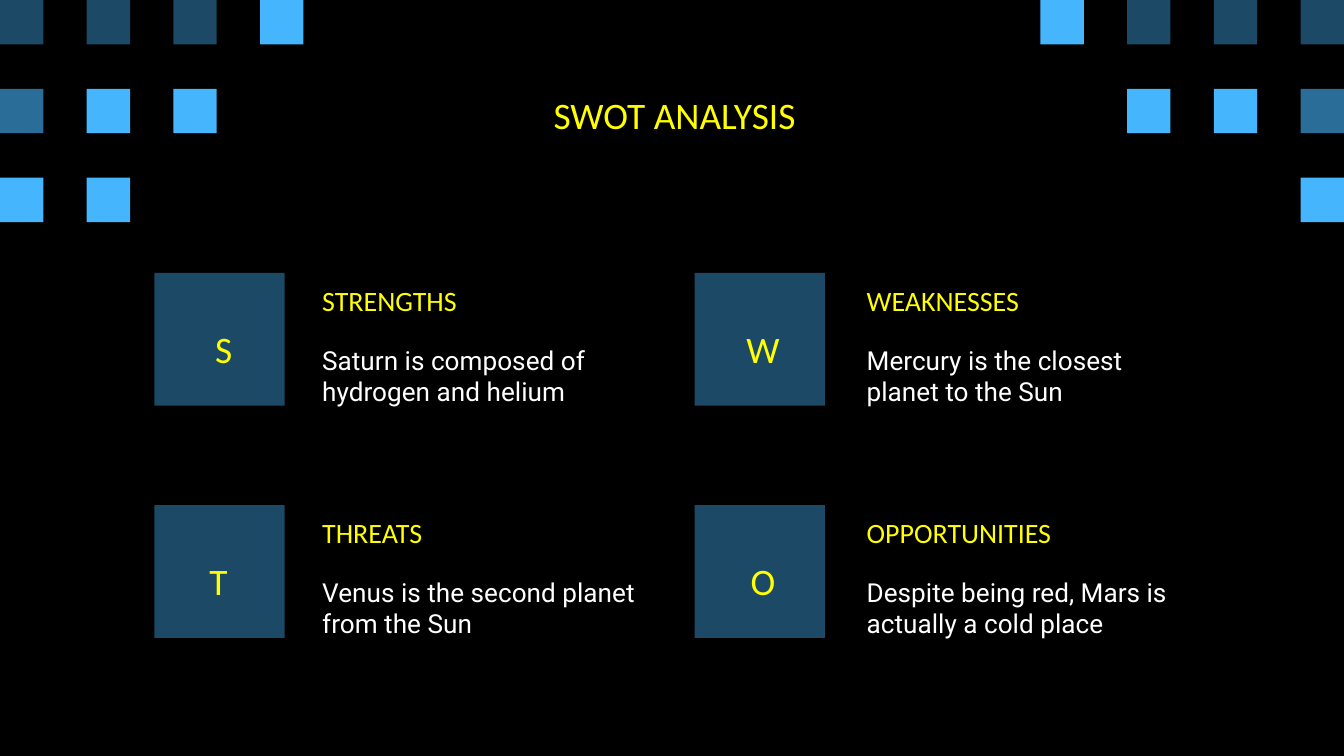
"""Build a SWOT analysis slide with a corner pattern of squares."""
from pptx import Presentation
from pptx.dml.color import RGBColor
from pptx.enum.shapes import MSO_SHAPE
from pptx.enum.text import MSO_ANCHOR, MSO_AUTO_SIZE, PP_ALIGN
from pptx.util import Cm, Pt

RECTANGLE = MSO_SHAPE.RECTANGLE
TOP, MIDDLE = MSO_ANCHOR.TOP, MSO_ANCHOR.MIDDLE
LEFT, CENTER = PP_ALIGN.LEFT, PP_ALIGN.CENTER
NO_AUTOFIT = MSO_AUTO_SIZE.NONE

DARK, MEDIUM, LIGHT = "1C4966", "296D98", "45B6FE"
YELLOW, WHITE, BLACK = "FFFF00", "FFFFFF", "000000"
SLIDE_WIDTH, SLIDE_HEIGHT = 25.4, 14.29


def add_square(left, top, width, height, color):
    shape = slide.shapes.add_shape(RECTANGLE, Cm(left), Cm(top), Cm(width), Cm(height))
    shape.shadow.inherit = False
    shape.fill.solid()
    shape.fill.fore_color.rgb = RGBColor.from_string(color)
    shape.line.fill.background()


def write_text(shape, text, size, font_name, color, alignment, anchor, side_insets):
    frame = shape.text_frame
    frame.word_wrap = True
    frame.auto_size = NO_AUTOFIT
    frame.vertical_anchor = anchor
    frame.margin_left, frame.margin_right = (Cm(inset) for inset in side_insets)
    frame.margin_top = frame.margin_bottom = Cm(0.25)
    paragraph = frame.paragraphs[0]
    paragraph.alignment = alignment
    run = paragraph.add_run()
    run.text = text
    run.font.size = Pt(size)
    run.font.name = font_name
    run.font.color.rgb = RGBColor.from_string(color)


presentation = Presentation()
presentation.slide_width = Cm(SLIDE_WIDTH)
presentation.slide_height = Cm(SLIDE_HEIGHT)
slide = presentation.slides.add_slide(presentation.slide_layouts[5])
slide.background.fill.solid()
slide.background.fill.fore_color.rgb = RGBColor.from_string(BLACK)

square_width, square_height = 0.82, 0.84
column_pitch = (SLIDE_WIDTH - square_width) / 15
row_pitch = 2 * square_height
corner_squares = [
    (0, DARK, (0, 1, 2, 13, 14, 15)),
    (0, LIGHT, (3, 12)),
    (1, MEDIUM, (0, 15)),
    (1, LIGHT, (1, 2, 13, 14)),
    (2, LIGHT, (0, 1, 15)),
]
for row, color, columns in corner_squares:
    for column in columns:
        add_square(column * column_pitch, row * row_pitch, square_width, square_height, color)

title = slide.shapes.title
title.left, title.top, title.width, title.height = Cm(1.98), Cm(1.5), Cm(21.41), Cm(0.91)
write_text(title, "SWOT ANALYSIS", 20, "Calibri", YELLOW, CENTER, TOP, (0.13, 0))

tile_lefts, text_lefts = (2.92, 13.13), (5.84, 16.13)
first_top, block_pitch = 5.16, 4.39
blocks = [
    (0, 0, "S", 3.53, "STRENGTHS", "Saturn is composed of hydrogen and helium"),
    (1, 0, "W", 13.72, "WEAKNESSES", "Mercury is the closest planet to the Sun"),
    (0, 1, "T", 3.43, "THREATS", "Venus is the second planet from the Sun"),
    (1, 1, "O", 13.72, "OPPORTUNITIES", "Despite being red, Mars is actually a cold place"),
]
for column, row, letter, letter_left, heading, description in blocks:
    top = first_top + row * block_pitch
    text_left = text_lefts[column]
    add_square(tile_lefts[column], top, 2.46, 2.51, DARK)

    letter_box = slide.shapes.add_textbox(Cm(letter_left), Cm(top + 0.76), Cm(1.27), Cm(1.02))
    write_text(letter_box, letter, 20, "Calibri", YELLOW, CENTER, TOP, (0.13, 0))

    heading_box = slide.shapes.add_textbox(Cm(text_left), Cm(top - 0.11), Cm(7.49), Cm(1.24))
    write_text(heading_box, heading, 15, "Calibri", YELLOW, LEFT, MIDDLE, (0.25, 0.25))

    description_box = slide.shapes.add_textbox(Cm(text_left), Cm(top + 1.14), Cm(6.73), Cm(1.6))
    write_text(description_box, description, 14, "Roboto", WHITE, LEFT, MIDDLE, (0.25, 0.25))

presentation.save("out.pptx")
